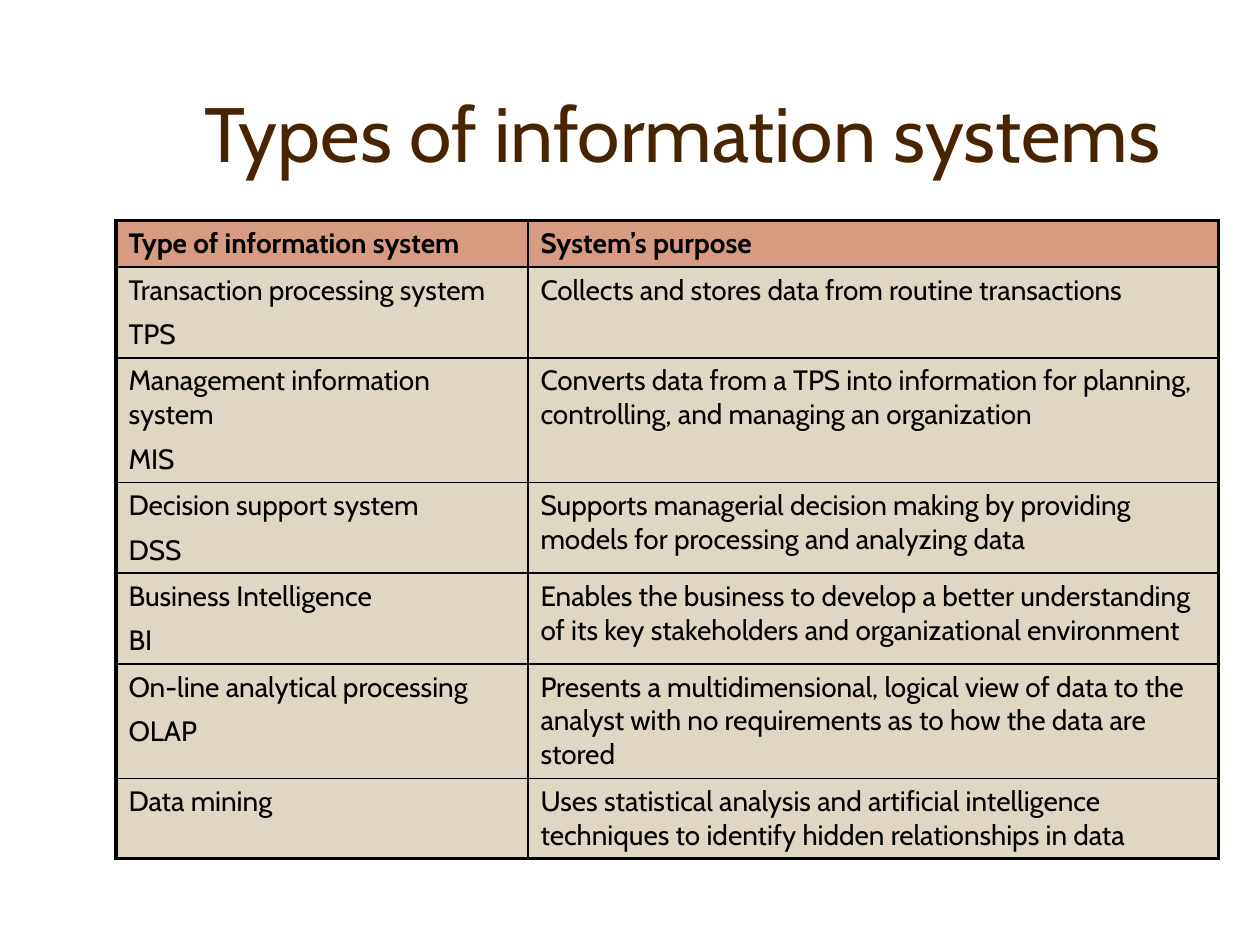
from lxml.etree import SubElement
from pptx import Presentation
from pptx.dml.color import RGBColor
from pptx.enum.text import MSO_ANCHOR, PP_ALIGN
from pptx.oxml.ns import qn
from pptx.util import Inches, Pt

FONT = "Cabin"
TITLE = "Types of information systems"
HEADER = (["Type of information system"], "System’s purpose")
SYSTEMS = [
    (["Transaction processing system", "TPS"],
     "Collects and stores data from routine transactions"),
    (["Management information system", "MIS"],
     "Converts data from a TPS into information for planning, "
     "controlling, and managing an organization"),
    (["Decision support system", "DSS"],
     "Supports managerial decision making by providing models "
     "for processing and analyzing data"),
    (["Business Intelligence", "BI"],
     "Enables the business to develop a better understanding "
     "of its key stakeholders and organizational environment"),
    (["On-line analytical processing", "OLAP"],
     "Presents a multidimensional, logical view of data to the analyst "
     "with no requirements as to how the data are stored"),
    (["Data mining"],
     "Uses statistical analysis and artificial intelligence "
     "techniques to identify hidden relationships in data"),
]
COL_WIDTHS = (3.27, 5.48)
ROW_HEIGHTS = (0.37, 0.72, 0.99, 0.72, 0.72, 0.91, 0.63)
BLACK, BROWN, SALMON, SAND = "000000", "482400", "D69B80", "DFD6C3"
INNER, OUTER = 1, 2.25


def rgb(color):
    return RGBColor.from_string(color)


def write(p, text, size, color, bold=False, **paragraph_format):
    for name, value in paragraph_format.items():
        setattr(p, name, value)
    r = p.add_run()
    r.text = text
    for name, value in dict(name=FONT, size=Pt(size), bold=bold).items():
        setattr(r.font, name, value)
    r.font.color.rgb = rgb(color)


def set_borders(cell, widths):
    tc_pr = cell._tc.get_or_add_tcPr()
    for side, width in widths.items():
        ln = SubElement(tc_pr, qn(f"a:ln{side}"), w=str(Pt(width)))
        fill = SubElement(ln, qn("a:solidFill"))
        SubElement(fill, qn("a:srgbClr"), val=BLACK)


def add_title(s):
    tf = s.shapes.add_textbox(Inches(1.17), Inches(0.42),
                              Inches(8.5), Inches(1.25)).text_frame
    tf.word_wrap = True
    tf.vertical_anchor = MSO_ANCHOR.MIDDLE
    write(tf.paragraphs[0], TITLE, 44, BROWN, alignment=PP_ALIGN.CENTER)


def add_systems_table(s):
    rows = [HEADER] + SYSTEMS
    last_row, last_col = len(rows) - 1, len(COL_WIDTHS) - 1
    table = s.shapes.add_table(
        len(rows), len(COL_WIDTHS), Inches(0.92), Inches(1.75),
        Inches(sum(COL_WIDTHS)), Inches(sum(ROW_HEIGHTS))).table
    for column, width in zip(table.columns, COL_WIDTHS):
        column.width = Inches(width)
    for row, height in zip(table.rows, ROW_HEIGHTS):
        row.height = Inches(height)

    for i, (names, purpose) in enumerate(rows):
        for j, lines in enumerate((names, [purpose])):
            cell = table.cell(i, j)
            edges = dict(L=j == 0, R=j == last_col, T=i == 0, B=i == last_row)
            set_borders(cell, {side: OUTER if outside else INNER
                               for side, outside in edges.items()})
            cell.fill.solid()
            cell.fill.fore_color.rgb = rgb(SAND if i else SALMON)
            tf = cell.text_frame
            for k, line in enumerate(lines):
                p = tf.add_paragraph() if k else tf.paragraphs[0]
                write(p, line, 16, BLACK, bold=i == 0,
                      space_before=Pt(3), space_after=Pt(3))


def main():
    prs = Presentation()
    prs.slide_width, prs.slide_height = Inches(10), Inches(7.5)
    s = prs.slides.add_slide(prs.slide_layouts[6])
    add_title(s)
    add_systems_table(s)
    prs.save("out.pptx")


if __name__ == "__main__":
    main()
